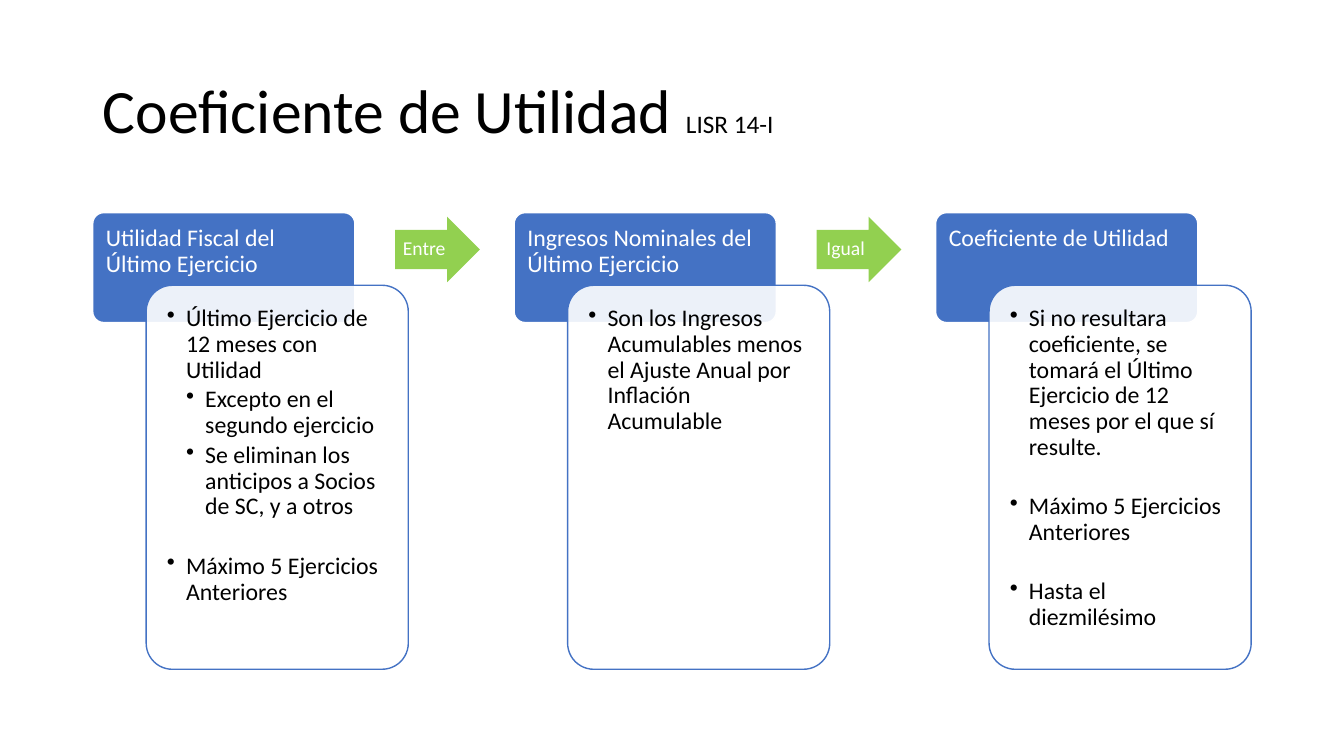
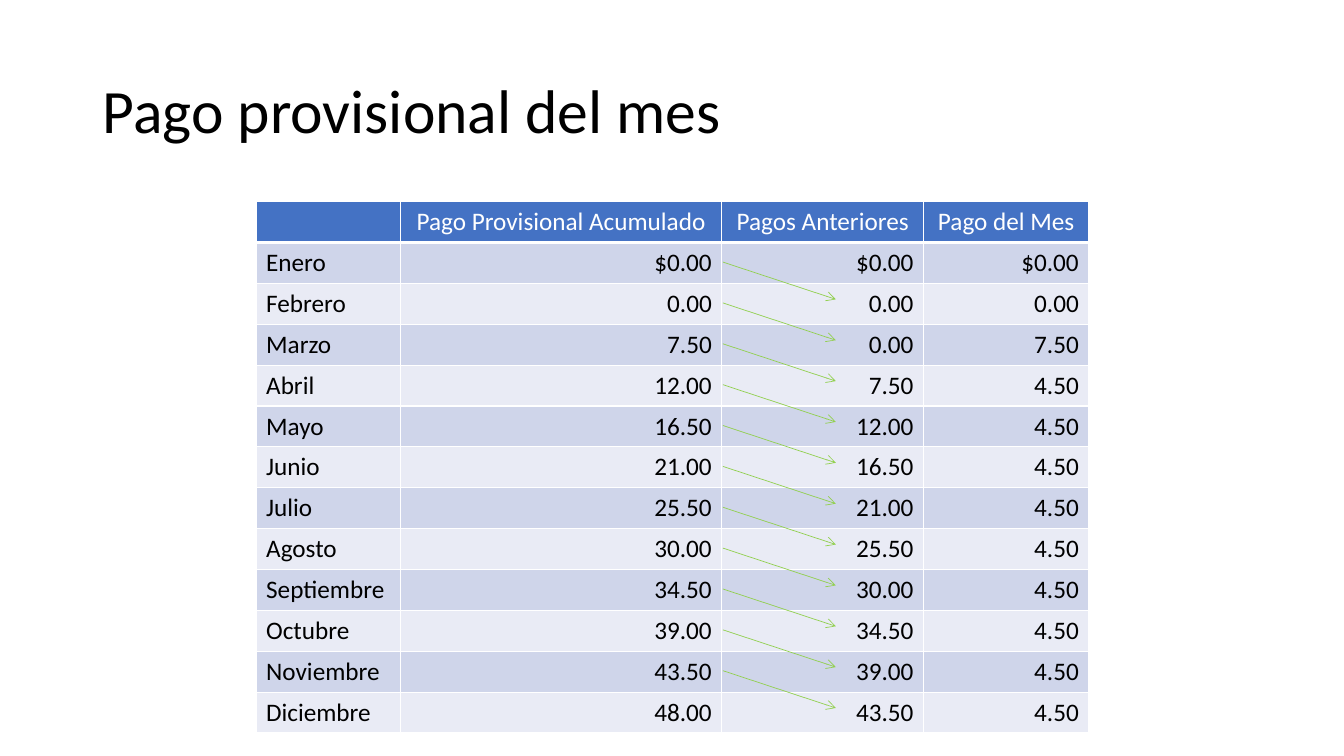
from lxml.etree import SubElement
from pptx import Presentation
from pptx.dml.color import RGBColor
from pptx.enum.shapes import MSO_CONNECTOR, MSO_SHAPE
from pptx.enum.text import MSO_ANCHOR, MSO_AUTO_SIZE, PP_ALIGN
from pptx.oxml.ns import qn
from pptx.util import Inches, Pt

BLUE, GREEN, WHITE, BLACK = "4472C4", "92D050", "FFFFFF", "000000"
BANDS = ("CFD5EA", "E9EBF5")
TITLE_ONLY = 5
TOP, PITCH, WIDTH = 2.11, 4.18, 2.6
ROW = 5.27 / 13

CARDS = [
    ("Utilidad Fiscal del Último Ejercicio", "Entre", [
        ("Último Ejercicio de 12 meses con Utilidad", 1, 0),
        ("Excepto en el segundo ejercicio", 2, 0),
        ("Se eliminan los anticipos a Socios de SC, y a otros", 2, 0),
        ("Máximo 5 Ejercicios Anteriores", 1, 21)]),
    ("Ingresos Nominales del Último Ejercicio", "Igual", [
        ("Son los Ingresos Acumulables menos el Ajuste Anual por "
         "Inflación Acumulable", 1, 0)]),
    ("Coeficiente de Utilidad", None, [
        ("Si no resultara coeficiente, se tomará el Último Ejercicio "
         "de 12 meses por el que sí resulte.", 1, 0),
        ("Máximo 5 Ejercicios Anteriores", 1, 21),
        ("Hasta el diezmilésimo", 1, 21)]),
]
HEADS = ["", "Pago Provisional Acumulado", "Pagos Anteriores", "Pago del Mes"]
COLS = [1.43, 3.19, 2, 1.64]
MONTHS = ["Enero", "Febrero", "Marzo", "Abril", "Mayo", "Junio", "Julio",
          "Agosto", "Septiembre", "Octubre", "Noviembre", "Diciembre"]
TOTALS = [0, 0] + [7.5 + 4.5 * i for i in range(10)]


def tint(code):
    """Turn a hex string into a colour."""
    return RGBColor.from_string(code)


def apply(item, **form):
    """Set each attribute of an item from its format values."""
    for name, value in form.items():
        setattr(item, name, value)


def write(para, text, size, color, **form):
    """Add a run of text to a paragraph and format both."""
    apply(para, **form)
    run = para.add_run()
    run.text = text
    apply(run.font, name="Calibri", size=Pt(size), bold=False)
    run.font.color.rgb = tint(color)


def paint(item, code):
    """Give a shape or cell a solid fill."""
    item.fill.solid()
    item.fill.fore_color.rgb = tint(code)


def add_slide(deck, title, note=""):
    """Add a slide with its title and an optional small note."""
    slide = deck.slides.add_slide(deck.slide_layouts[TITLE_ONLY])
    head = slide.shapes.title
    apply(head, left=Inches(0.92), top=Inches(0.4),
          width=Inches(11.5), height=Inches(1.45))
    apply(head.text_frame, word_wrap=True, auto_size=MSO_AUTO_SIZE.NONE,
          vertical_anchor=MSO_ANCHOR.MIDDLE)
    para = head.text_frame.paragraphs[0]
    write(para, title, 44, BLACK, alignment=PP_ALIGN.LEFT, line_spacing=0.9)
    if note:
        write(para, note, 18, BLACK)
    return slide


def add_block(slide, kind, box, fill, line, bends, pads, anchor):
    """Add a filled shape and return it ready for text."""
    shape = slide.shapes.add_shape(kind, *map(Inches, box))
    shape.shadow.inherit = False
    for i, bend in enumerate(bends):
        shape.adjustments[i] = bend
    paint(shape, fill)
    if line:
        shape.line.color.rgb = tint(line)
        shape.line.width = Pt(1)
    else:
        shape.line.fill.background()
    sides = ("margin_left", "margin_top", "margin_right", "margin_bottom")
    apply(shape.text_frame, word_wrap=True, vertical_anchor=anchor,
          **dict(zip(sides, map(Inches, pads))))
    return shape


def add_list(frame, items):
    """Fill a text frame with bullets on two levels."""
    for i, (text, level, gap) in enumerate(items):
        para = frame.add_paragraph() if i else frame.paragraphs[0]
        props = para._p.get_or_add_pPr()
        props.set("marL", str(Inches(0.19 * level)))
        props.set("indent", str(Inches(-0.19)))
        SubElement(props, qn("a:buChar"), char="•")
        form = {"space_before": Pt(gap)} if gap else {}
        write(para, text, 17, BLACK, alignment=PP_ALIGN.LEFT, level=level - 1,
              line_spacing=0.9, space_after=Pt(3), **form)


def add_card(slide, left, head, items):
    """Add a blue heading with a list card laid over its corner."""
    top = add_block(slide, MSO_SHAPE.ROUNDED_RECTANGLE,
                    (left, TOP, WIDTH, 1.09), BLUE, WHITE, [0.1],
                    (0.1, 0.1, 0.1, 0.07), MSO_ANCHOR.TOP)
    write(top.text_frame.paragraphs[0], head, 17, WHITE,
          alignment=PP_ALIGN.LEFT, line_spacing=0.9)
    card = add_block(slide, MSO_SHAPE.ROUNDED_RECTANGLE,
                     (left + 0.53, TOP + 0.72, WIDTH, 3.81), WHITE, BLUE,
                     [0.1], [0.13] * 4, MSO_ANCHOR.TOP)
    color = card.element.spPr.find(".//" + qn("a:srgbClr"))
    SubElement(color, qn("a:alpha"), val="90000")
    add_list(card.text_frame, items)


def add_sign(slide, left, text):
    """Add a green block arrow with a word in it."""
    sign = add_block(slide, MSO_SHAPE.RIGHT_ARROW,
                     (left, TOP + 0.04, 0.84, 0.65), GREEN, None, [0.6, 0.5],
                     (0, 0, 0.07, 0), MSO_ANCHOR.MIDDLE)
    write(sign.text_frame.paragraphs[0], text, 14, WHITE,
          alignment=PP_ALIGN.CENTER, line_spacing=0.9)


def edge(cell, base):
    """Draw white borders round a cell, with its own base width."""
    props = cell._tc.get_or_add_tcPr()
    for side, width in zip("LRTB", (1, 1, 1, base)):
        line = SubElement(props, qn("a:ln" + side), w=str(Pt(width)))
        fill = SubElement(line, qn("a:solidFill"))
        SubElement(fill, qn("a:srgbClr"), val=WHITE)


def add_grid(slide, rows):
    """Add the table with a blue head and banded rows."""
    grid = slide.shapes.add_table(
        len(rows), len(COLS), Inches(2.54), Inches(2),
        Inches(sum(COLS)), Inches(ROW * len(rows))).table
    for col, width in zip(grid.columns, COLS):
        col.width = Inches(width)
    for r, row in enumerate(rows):
        grid.rows[r].height = Inches(ROW)
        for c, text in enumerate(row):
            cell = grid.cell(r, c)
            edge(cell, 1 if r else 3)
            paint(cell, BANDS[(r - 1) % 2] if r else BLUE)
            if not text:
                continue
            side = PP_ALIGN.RIGHT if c else PP_ALIGN.LEFT
            write(cell.text_frame.paragraphs[0], text, 18,
                  BLACK if r else WHITE,
                  alignment=side if r else PP_ALIGN.CENTER)


def add_arrow(slide, top):
    """Add a thin arrow from a total to the next row."""
    ends = map(Inches, (7.17, top, 8.29, top + 0.37))
    arrow = slide.shapes.add_connector(MSO_CONNECTOR.STRAIGHT, *ends)
    arrow.line.color.rgb = tint(GREEN)
    arrow.line.width = Pt(0.5)
    SubElement(arrow.line._get_or_add_ln(), qn("a:tailEnd"), type="arrow")
    SubElement(arrow.element.spPr, qn("a:effectLst"))


def month_rows():
    """Work out the rows of totals, prior payments and payments due."""
    rows = [HEADS]
    prior = 0
    for i, (month, total) in enumerate(zip(MONTHS, TOTALS)):
        sign = "" if i else "$"
        sums = (total, prior, total - prior)
        rows.append([month] + [f"{sign}{value:.2f}" for value in sums])
        prior = total
    return rows


def main():
    """Build and save the deck."""
    deck = Presentation()
    apply(deck, slide_width=Inches(13.33), slide_height=Inches(7.5))

    slide = add_slide(deck, "Coeficiente de Utilidad ", "LISR 14-I")
    for i, (head, sign, items) in enumerate(CARDS):
        left = 0.92 + PITCH * i
        add_card(slide, left, head, items)
        if sign:
            add_sign(slide, left + 3, sign)

    slide = add_slide(deck, "Pago provisional del mes")
    add_grid(slide, month_rows())
    for i in range(len(MONTHS) - 1):
        add_arrow(slide, 2.6 + ROW * i)

    deck.save("out.pptx")


if __name__ == "__main__":
    main()
